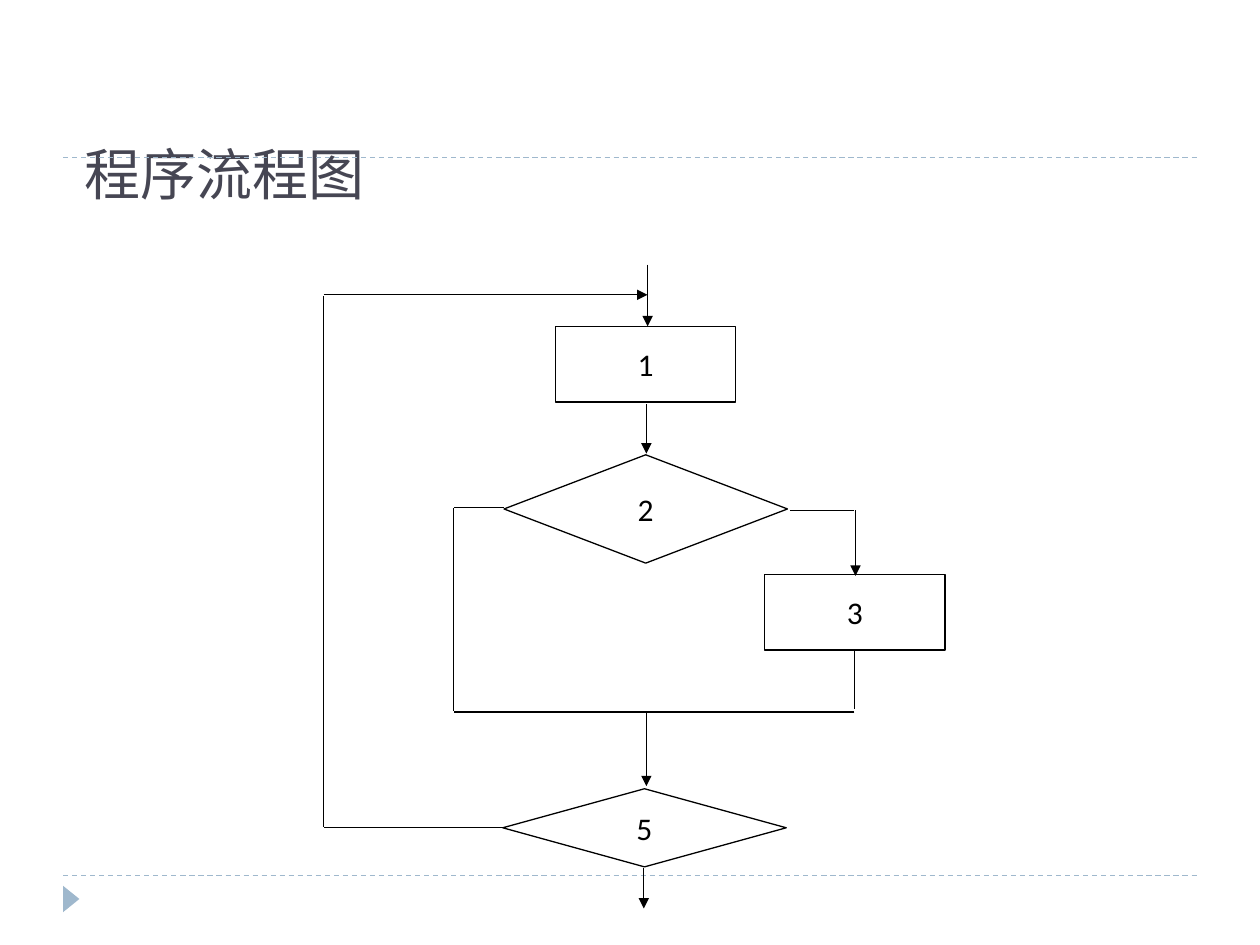
import dataclasses

import lxml.etree
import pptx
import pptx.dml.color
import pptx.enum.dml
import pptx.enum.shapes
import pptx.enum.text
import pptx.oxml.ns
import pptx.util

Inches = pptx.util.Inches
Pt = pptx.util.Pt
RGB = pptx.dml.color.RGBColor
SHAPE = pptx.enum.shapes.MSO_SHAPE
ANCHOR = pptx.enum.text.MSO_ANCHOR
ALIGN = pptx.enum.text.PP_ALIGN
qn = pptx.oxml.ns.qn


@dataclasses.dataclass(frozen=True)
class Theme:
    ink: RGB = RGB(0, 0, 0)
    title: RGB = RGB(0x46, 0x46, 0x53)
    accent: RGB = RGB(0x9F, 0xB8, 0xCD)
    title_font: str = "TeX Gyre Bonum"
    body_font: str = "Calibri"
    title_size: int = 32
    body_size: int = 18
    line_width: float = 0.75


THEME = Theme()

# Left, top, width, height
BOX = (1.43, 0.6)
NODES = [
    ("1", SHAPE.RECTANGLE, (4.41, 2.59, *BOX)),
    ("3", SHAPE.RECTANGLE, (6.07, 4.56, *BOX)),
    ("2", SHAPE.DIAMOND, (4, 3.61, 2.25, 0.86)),
    ("5", SHAPE.DIAMOND, (3.99, 6.26, 2.25, 0.62)),
]

# Start point, end point
ARROWS = [
    ((5.14, 2.1), (5.14, 2.59)),    # entry to 1
    ((5.13, 3.21), (5.13, 3.6)),    # 1 to 2
    ((6.79, 4.05), (6.79, 4.57)),   # 2 to 3
    ((5.13, 5.65), (5.13, 6.24)),   # merge to 5
    ((2.57, 2.34), (5.14, 2.34)),   # loop back to entry
    ((5.11, 6.89), (5.11, 7.21)),   # exit
]
LINES = [
    ((6.27, 4.05), (6.78, 4.05)),   # right branch of 2
    ((4, 4.03), (3.6, 4.03)),       # left branch of 2
    ((3.6, 4.03), (3.6, 5.64)),
    ((6.78, 5.17), (6.78, 5.63)),   # 3 down to merge
    ((6.78, 5.65), (3.6, 5.65)),
    ((4, 6.57), (2.57, 6.57)),      # loop from 5
    ((2.57, 6.56), (2.57, 2.35)),
]


def apply(obj, **values):
    for name, value in values.items():
        setattr(obj, name, value)


def place(sp, box):
    names = ("left", "top", "width", "height")
    apply(sp, **{name: Inches(v) for name, v in zip(names, box)})


def write(p, text, font, size, color):
    r = p.add_run()
    r.text = text
    apply(r.font, name=font, size=Pt(size))
    r.font.color.rgb = color


def add_title(s, text):
    sp = s.shapes.title
    place(sp, (0.57, 0.44, 8.68, 1.25))
    tf = sp.text_frame
    apply(tf, vertical_anchor=ANCHOR.BOTTOM, word_wrap=True,
          auto_size=pptx.enum.text.MSO_AUTO_SIZE.NONE)
    p = tf.paragraphs[0]
    p.alignment = ALIGN.LEFT
    write(p, text, THEME.title_font, THEME.title_size, THEME.title)


def add_node(s, text, kind, box):
    sp = s.shapes.add_shape(kind, *map(Inches, box))
    sp.shadow.inherit = False
    sp.fill.background()
    sp.line.color.rgb = THEME.ink
    sp.line.width = Pt(THEME.line_width)
    tf = sp.text_frame
    apply(tf, vertical_anchor=ANCHOR.MIDDLE, word_wrap=False)
    p = tf.paragraphs[0]
    p.alignment = ALIGN.CENTER
    write(p, text, THEME.body_font, THEME.body_size, THEME.ink)


def add_line(s, start, end, color=THEME.ink, arrow=False, dash=None):
    sp = s.shapes.add_connector(pptx.enum.shapes.MSO_CONNECTOR.STRAIGHT,
                                *map(Inches, (*start, *end)))
    sp.line.color.rgb = color
    apply(sp.line, width=Pt(THEME.line_width), dash_style=dash)
    if arrow:
        lxml.etree.SubElement(sp.line._get_or_add_ln(), qn("a:tailEnd"),
                              type="triangle")
    lxml.etree.SubElement(sp._element.spPr, qn("a:effectLst"))


def add_frame(s):
    """Draw the dashed rules and the corner marker."""
    for y in (6.95, 1.25):
        add_line(s, (0.5, y), (9.5, y), THEME.accent,
                 dash=pptx.enum.dml.MSO_LINE.DASH)
    sp = s.shapes.add_shape(SHAPE.ISOSCELES_TRIANGLE,
                            *map(Inches, (0.46, 7.07, 0.21, 0.13)))
    sp.rotation = 90
    sp.shadow.inherit = False
    sp.fill.solid()
    sp.fill.fore_color.rgb = THEME.accent
    sp.line.fill.background()


def main():
    prs = pptx.Presentation()
    apply(prs, slide_width=Inches(10), slide_height=Inches(7.5))
    s = prs.slides.add_slide(prs.slide_layouts[5])
    add_frame(s)
    add_title(s, "程序流程图")
    for node in NODES:
        add_node(s, *node)
    for start, end in LINES:
        add_line(s, start, end)
    for start, end in ARROWS:
        add_line(s, start, end, arrow=True)
    prs.save("out.pptx")


if __name__ == "__main__":
    main()
